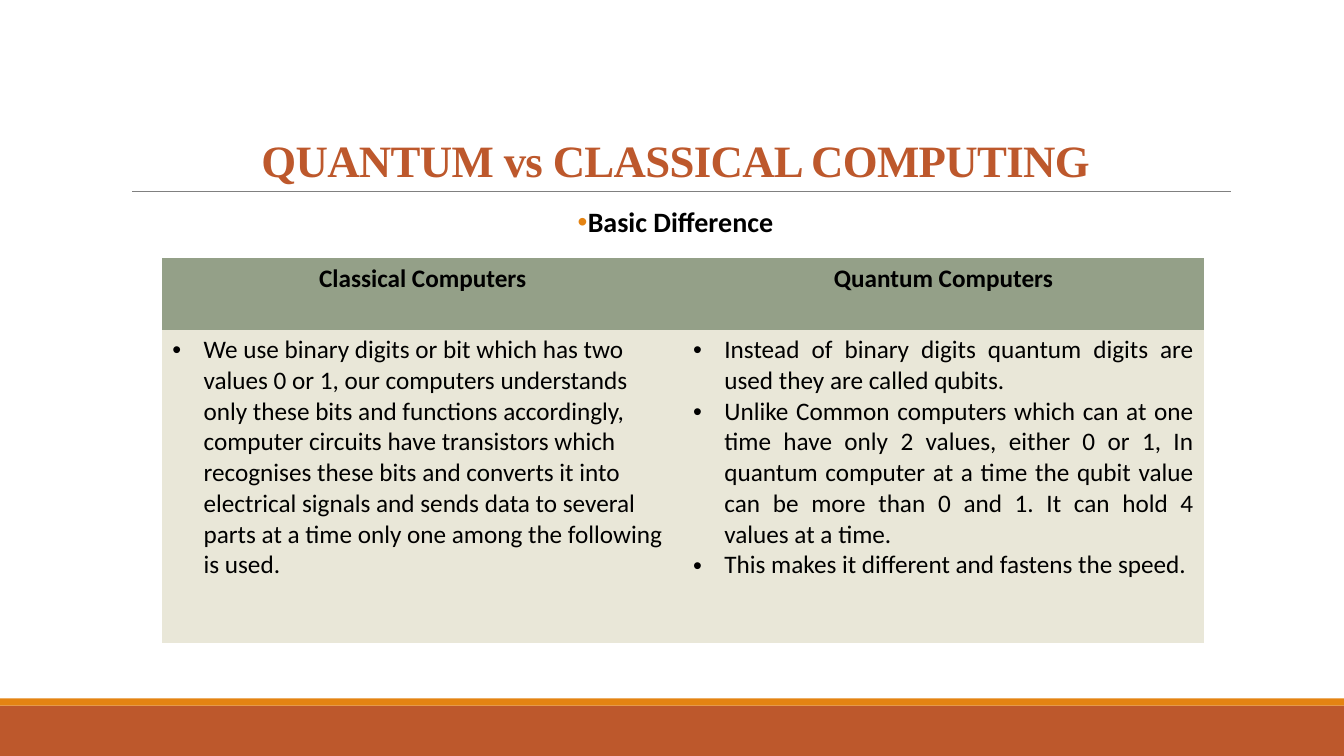
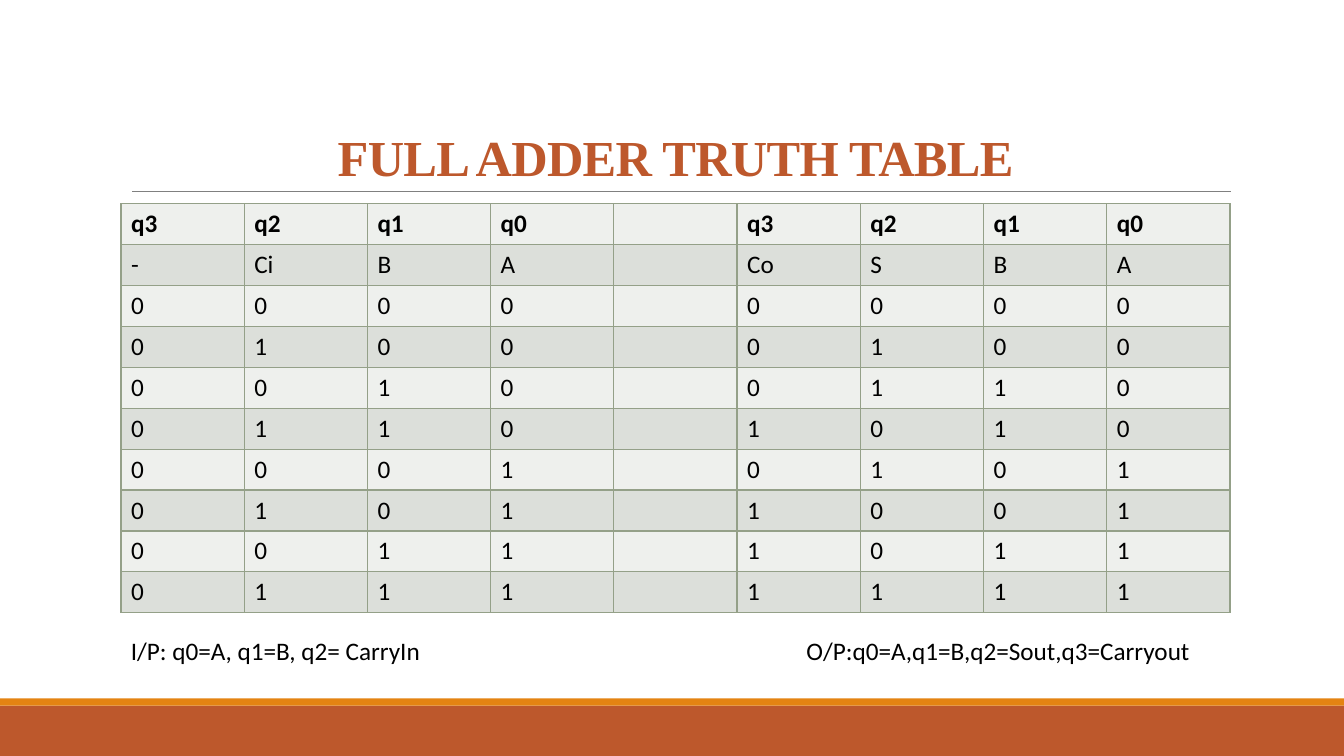
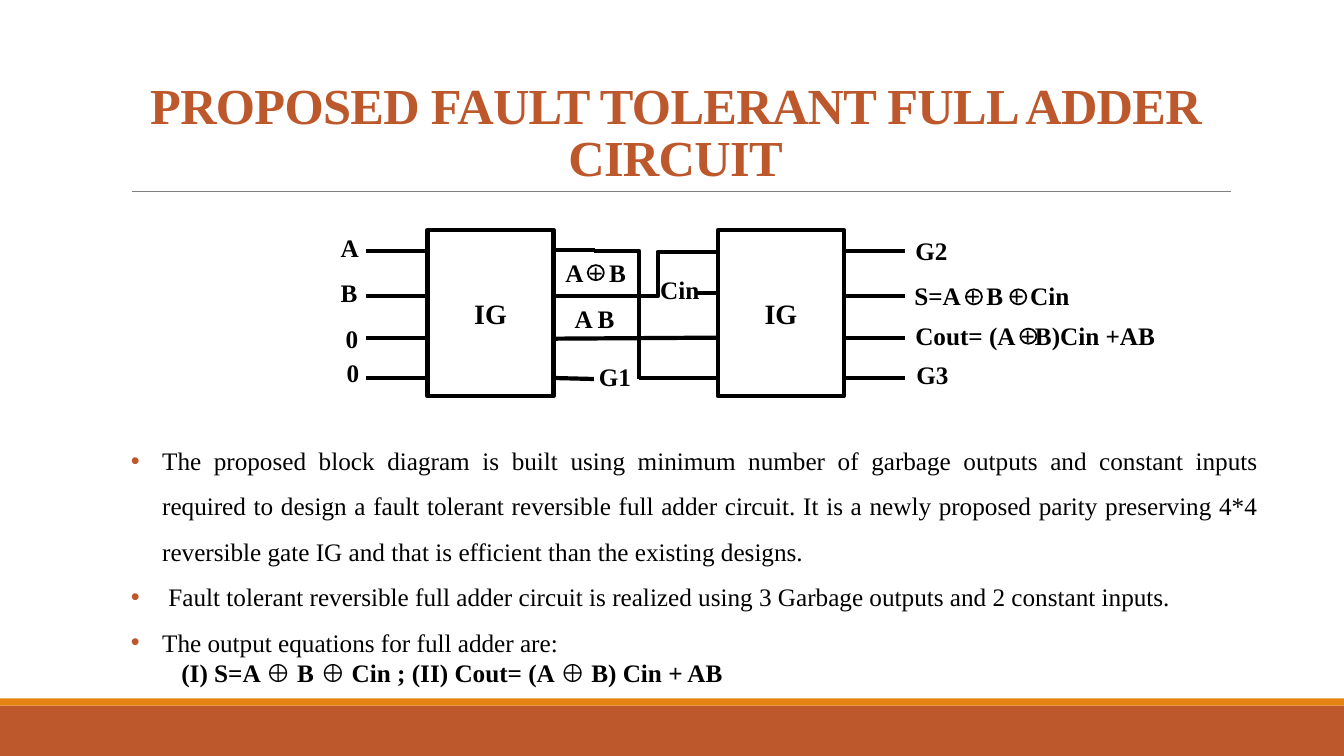
from itertools import product

from lxml import etree
from pptx import Presentation
from pptx.dml.color import RGBColor
from pptx.enum import shapes, text
from pptx.oxml import ns
from pptx.util import Inches, Pt

HUES = {
    "rust": "BD582C", "gold": "E48312", "gray": "808080", "black": "000000",
    "white": "FFFFFF", "sage": "94A088", "cream": "E9E7D8",
    "pale": "EEF0ED", "mist": "DCDFDA",
}
SERIF, SANS = "Times New Roman", "Calibri"
ALIGN = {
    "left": text.PP_ALIGN.LEFT,
    "center": text.PP_ALIGN.CENTER,
    "full": text.PP_ALIGN.JUSTIFY,
}
PLAIN = "{2D5ABB26-0587-4C30-8999-92F81FD0307C}"


def hue(name):
    return RGBColor.from_string(HUES[name])


def add(parent, tag, **attrs):
    return etree.SubElement(parent, ns.qn(tag), attrs)


def write(frame, *lines, size=18, font=SANS, ink="black", bold=False,
          align="left", lead=None, mark=None, left=0, hang=0, track=0):
    for line in lines:
        para = frame.add_paragraph() if frame.text else frame.paragraphs[0]
        para.alignment = ALIGN[align]
        if lead:
            para.line_spacing = lead
        props = para._p.get_or_add_pPr()
        props.set("marL", str(Inches(left)))
        props.set("indent", str(-Inches(hang)))
        if mark:
            add(add(props, "a:buClr"), "a:srgbClr", val=HUES[mark])
            add(props, "a:buFont", typeface="Arial")
            add(props, "a:buChar", char="•")
        run = para.add_run()
        run.text = line
        run.font.size, run.font.name, run.font.bold = Pt(size), font, bold
        run.font.color.rgb = hue(ink)
        if track:
            run._r.get_or_add_rPr().set("spc", str(round(track * 100)))


def label(slide, box, *lines, low=False, side=0.1, **style):
    frame = slide.shapes.add_textbox(*map(Inches, box)).text_frame
    frame.word_wrap = True
    frame.margin_left = frame.margin_right = Inches(side)
    if low:
        frame.vertical_anchor = text.MSO_ANCHOR.BOTTOM
    write(frame, *lines, **style)
    return frame


def block(slide, box, fill=None, edge=None, width=3, kind="RECTANGLE"):
    shape = slide.shapes.add_shape(
        getattr(shapes.MSO_SHAPE, kind), *map(Inches, box))
    shape.shadow.inherit = False
    if fill:
        shape.fill.solid()
        shape.fill.fore_color.rgb = hue(fill)
    else:
        shape.fill.background()
    if edge:
        shape.line.color.rgb = hue(edge)
        shape.line.width = Pt(width)
    else:
        shape.line.fill.background()
    return shape


def wire(slide, start, end, ink="black", width=3, bend=None):
    kind = shapes.MSO_CONNECTOR.STRAIGHT if bend is None else shapes.MSO_CONNECTOR.ELBOW
    link = slide.shapes.add_connector(kind, *map(Inches, (*start, *end)))
    link.line.color.rgb = hue(ink)
    link.line.width = Pt(width)
    props = link._element.spPr
    add(props, "a:effectLst")
    if bend is not None:
        guides = props.find(ns.qn("a:prstGeom")).get_or_add_avLst()
        add(guides, "a:gd", name="adj1", fmla=f"val {round(bend * 100000)}")


def page(deck, title, size=36):
    slide = deck.slides.add_slide(deck.slide_layouts[6])
    block(slide, (0, 7, 13.33, 0.5), "rust")
    block(slide, (0, 6.93, 13.33, 0.07), "gold")
    wire(slide, (1.31, 1.9), (12.21, 1.9), "gray", 0.5)
    label(slide, (1.2, 0.31, 11, 1.59), title, low=True, size=size, font=SERIF,
          ink="rust", bold=True, align="center", lead=0.85, track=-0.5)
    return slide


def grid(slide, box, rows, cols):
    table = slide.shapes.add_table(len(rows), cols, *map(Inches, box)).table
    table._tbl.tblPr.find(ns.qn("a:tableStyleId")).text = PLAIN
    for row, high in zip(table.rows, rows):
        row.height = Inches(high)
    return table


def paint(cell, fill, edge=None):
    cell.fill.solid()
    cell.fill.fore_color.rgb = hue(fill)
    if edge:
        props = cell._tc.get_or_add_tcPr()
        for spot, side in enumerate("LRTB"):
            line = add(props, f"a:ln{side}", w=str(Pt(1)))
            add(add(line, "a:solidFill"), "a:srgbClr", val=HUES[edge])
            props.insert(spot, line)


def contrast(slide, box):
    table = grid(slide, box, (0.71, 3.11), 2)
    sides = (
        ("Classical Computers", "left", (
            "We use binary digits or bit which has two values 0 or 1, our computers understands only these bits and functions accordingly, computer circuits have transistors which recognises these bits and converts it into electrical signals and sends data to several parts at a time only one among the following is used.",)),
        ("Quantum Computers", "full", (
            "Instead of binary digits quantum digits are used they are called qubits.",
            "Unlike Common computers which can at one time have only 2 values, either 0 or 1, In quantum computer at a time the qubit value can be more than 0 and 1. It can hold 4 values at a time.",
            "This makes it different and fastens the speed.")),
    )
    for col, (head, align, points) in enumerate(sides):
        top, body = table.cell(0, col), table.cell(1, col)
        paint(top, "sage")
        paint(body, "cream")
        write(top.text_frame, head, bold=True, align="center")
        write(body.text_frame, *points, align=align, mark="black", left=0.31, hang=0.31)


def truth(slide, box):
    rows = ["q3 q2 q1 q0 | q3 q2 q1 q0".split(), "- Ci B A | Co S B A".split()]
    for a, b, carry in product((0, 1), repeat=3):
        out, total = divmod(a + b + carry, 2)
        rows.append([0, carry, b, a, "|", out, total, b, a])
    table = grid(slide, box, [box[3] / len(rows)] * len(rows), len(rows[0]))
    for r, row in enumerate(rows):
        for c, value in enumerate(row):
            cell = table.cell(r, c)
            paint(cell, "mist" if r % 2 else "pale", "sage")
            if value != "|":
                write(cell.text_frame, str(value), bold=r == 0)


def circuit(slide, x, y):
    def at(across, down):
        return x + across, y + down

    for left in (0.96, 3.84):
        gate = block(slide, (*at(left, 0), 1.25, 1.65), "white", "black")
        gate.text_frame.vertical_anchor = text.MSO_ANCHOR.MIDDLE
        write(gate.text_frame, "IG", size=20, font=SERIF, bold=True, align="center")
    for down in (0.21, 0.66, 1.07, 1.47):
        for left in (0.35, 5.09):
            wire(slide, at(left, down), at(left + 0.61, down))
    links = (
        (2.21, 1.08, 3.84, 1.07, None), (2.21, 0.2, 2.62, 0.2, None),
        (3.06, 1.47, 3.84, 1.47, None), (2.21, 1.47, 2.61, 1.48, None),
        (3.61, 0.63, 3.84, 0.63, None), (2.61, 0.21, 3.06, 1.48, 1),
        (2.23, 0.66, 3.84, 0.22, 0.63),
    )
    for x1, y1, x2, y2, bend in links:
        wire(slide, at(x1, y1), at(x2, y2), bend=bend)
    names = (
        ("A", 0, -0.02, 0.5), ("B", 0, 0.42, 0.5),
        ("0", 0.05, 0.88, 0.5), ("0", 0.06, 1.22, 0.5),
        ("A + B", 2.23, 0.22, 0.82), ("A B", 2.32, 0.68, 1.37),
        ("G1", 2.56, 1.26, 0.69), ("Cin", 3.17, 0.39, 0.74),
        ("G2", 5.7, 0.01, 0.83), ("S=A + B + Cin", 5.69, 0.45, 2.6),
        ("Cout= (A +B)Cin +AB", 5.7, 0.85, 2.6), ("G3", 5.71, 1.24, 0.68),
    )
    for name, left, down, wide in names:
        label(slide, (*at(left, down), wide, 0.4), name, font=SERIF, bold=True)
    for spot in ((2.55, 0.35), (6.3, 0.59), (6.74, 0.59), (6.84, 0.98)):
        block(slide, (*at(*spot), 0.16, 0.15), None, "black", 1.25, "OVAL")


def notes(slide, box):
    frame = label(
        slide, box,
        "The proposed block diagram is built using minimum number of garbage outputs and constant inputs required to design a fault tolerant reversible full adder circuit. It is a newly proposed parity preserving 4*4 reversible gate IG and that is efficient than the existing designs.",
        " Fault tolerant reversible full adder circuit is realized using 3 Garbage outputs and 2 constant inputs.",
        "The output equations for full adder are:",
        font=SERIF, align="full", lead=1.5, mark="rust", left=0.31, hang=0.31)
    write(frame, "(I) S=A ⊕ B ⊕ Cin ; (II) Cout= (A ⊕ B) Cin + AB",
          font=SERIF, bold=True, align="full", left=0.5)


def main():
    deck = Presentation()
    deck.slide_width, deck.slide_height = Inches(13.33), Inches(7.5)

    slide = page(deck, "QUANTUM vs CLASSICAL COMPUTING", 32)
    label(slide, (1.2, 2.02, 11, 0.45), "Basic Difference", side=0, size=20, bold=True,
          align="center", lead=0.9, mark="gold", left=0.1, hang=0.1)
    contrast(slide, (1.61, 2.56, 10.33, 3.82))

    slide = page(deck, "FULL ADDER TRUTH TABLE")
    truth(slide, (1.2, 2.02, 11, 4.06))
    label(slide, (1.2, 6.25, 5, 0.4), "I/P: q0=A, q1=B, q2= CarryIn")
    label(slide, (7.9, 6.25, 4.35, 0.4), "O/P:q0=A,q1=B,q2=Sout,q3=Carryout")

    slide = page(deck, "PROPOSED FAULT TOLERANT FULL ADDER CIRCUIT")
    notes(slide, (1.2, 4.22, 11.38, 2.7))
    circuit(slide, 3.28, 2.28)

    deck.save("out.pptx")


if __name__ == "__main__":
    main()
